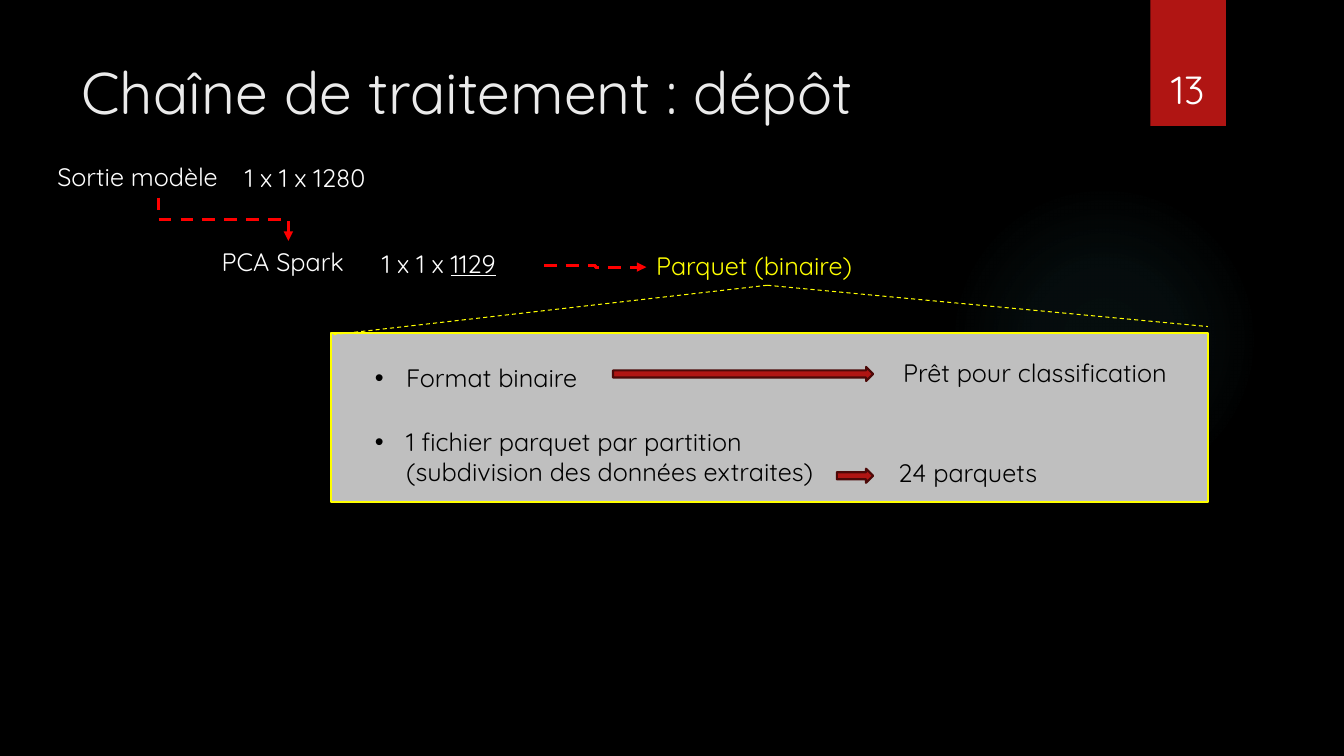
from lxml import etree
from pptx import Presentation
from pptx.dml.color import RGBColor
from pptx.enum.dml import MSO_LINE
from pptx.enum.shapes import MSO_CONNECTOR, MSO_SHAPE
from pptx.enum.text import MSO_ANCHOR, PP_ALIGN
from pptx.oxml import parse_xml
from pptx.oxml.ns import nsdecls, qn
from pptx.util import Inches, Pt

DASH = MSO_LINE.DASH
STRAIGHT, ELBOW = MSO_CONNECTOR.STRAIGHT, MSO_CONNECTOR.ELBOW
OVAL, RECTANGLE, RIGHT_ARROW = MSO_SHAPE.OVAL, MSO_SHAPE.RECTANGLE, MSO_SHAPE.RIGHT_ARROW
TOP, BOTTOM = MSO_ANCHOR.TOP, MSO_ANCHOR.BOTTOM
LEFT, CENTER = PP_ALIGN.LEFT, PP_ALIGN.CENTER

FONT = "Quicksand"
COLORS = {
    "background": "000000",
    "glow": "50B9C1",
    "accent": "B01513",
    "accent_edge": "4D0908",
    "title": "EBEBEB",
    "light": "FFFFFF",
    "dark": "000000",
    "highlight": "FFFF00",
    "flow": "FF0000",
    "panel": "BFBFBF",
}
GLOW_STOPS = [(0, 7), (36, 6), (69, 0)]
LINE_HEIGHT = 0.4
BULLET_INDENT = 0.31


def rgb(name):
    return RGBColor.from_string(COLORS[name])


def add_text(slide, box, text, color="light", size=18, anchor=TOP, align=LEFT, bullet=False, underlined=""):
    shape = slide.shapes.add_textbox(*map(Inches, box))
    frame = shape.text_frame
    frame.word_wrap = True
    frame.vertical_anchor = anchor
    paragraph = frame.paragraphs[0]
    paragraph.text = text
    paragraph.alignment = align
    if underlined:
        paragraph.add_run().text = underlined
        paragraph.runs[-1].font.underline = True
    if bullet:
        properties = paragraph._p.get_or_add_pPr()
        properties.set("marL", str(Inches(BULLET_INDENT)))
        properties.set("indent", str(-Inches(BULLET_INDENT)))
        etree.SubElement(properties, qn("a:buFont")).set("typeface", "Arial")
        etree.SubElement(properties, qn("a:buChar")).set("char", "•")
    for run in paragraph.runs:
        run.font.name = FONT
        run.font.size = Pt(size)
        run.font.color.rgb = rgb(color)


def add_block(slide, kind, box, fill, edge=None):
    shape = slide.shapes.add_shape(kind, *map(Inches, box))
    shape.shadow.inherit = False
    shape.fill.solid()
    shape.fill.fore_color.rgb = rgb(fill)
    if edge:
        shape.line.color.rgb = rgb(edge)
        shape.line.width = Pt(1.5)
    else:
        shape.line.fill.background()
    return shape


def add_dashes(slide, kind, start, end, color, width, arrow=False):
    connector = slide.shapes.add_connector(kind, *map(Inches, (*start, *end)))
    connector.line.color.rgb = rgb(color)
    connector.line.width = Pt(width)
    connector.line.dash_style = DASH
    properties = connector._element.spPr
    if arrow:
        etree.SubElement(properties.find(qn("a:ln")), qn("a:tailEnd")).set("type", "triangle")
    etree.SubElement(properties, qn("a:effectLst"))
    return connector


def add_glow(slide, box):
    shape = add_block(slide, OVAL, box, "glow")
    stops = "".join(
        f'<a:gs pos="{position * 1000}"><a:srgbClr val="{COLORS["glow"]}">'
        f'<a:alpha val="{alpha * 1000}"/></a:srgbClr></a:gs>'
        for position, alpha in GLOW_STOPS
    )
    gradient = parse_xml(
        f'<a:gradFill {nsdecls("a")} rotWithShape="1"><a:gsLst>{stops}</a:gsLst>'
        '<a:path path="circle"><a:fillToRect l="50000" t="50000" r="50000" b="50000"/></a:path>'
        "</a:gradFill>"
    )
    properties = shape._element.spPr
    properties.replace(properties.find(qn("a:solidFill")), gradient)


def add_header(slide, left, top):
    ribbon = add_block(slide, RECTANGLE, (left + 10.7, top, 0.75, 1.25), "accent")
    ribbon._element.spPr.find(qn("a:effectLst")).append(parse_xml(
        f'<a:outerShdw {nsdecls("a")} blurRad="{Pt(3)}" dist="{Pt(2)}" dir="5400000" rotWithShape="0">'
        f'<a:srgbClr val="{COLORS["dark"]}"><a:alpha val="45000"/></a:srgbClr></a:outerShdw>'
    ))
    add_text(slide, (left, top + 0.5, 10.29, 1.53), "Chaîne de traitement : dépôt", "title", 42)
    add_text(slide, (left + 10.61, top + 0.32, 0.92, 0.84), "13", size=28, anchor=BOTTOM, align=CENTER)


def add_pipeline(slide, left, top):
    add_text(slide, (left, top, 2.21, LINE_HEIGHT), "Sortie modèle")
    add_text(slide, (left + 1.86, top + 0.01, 1.71, LINE_HEIGHT), "1 x 1 x 1280")
    add_text(slide, (left + 1.63, top + 0.84, 1.52, LINE_HEIGHT), "PCA Spark")
    add_text(slide, (left + 3.22, top + 0.86, 1.71, LINE_HEIGHT), "1 x 1 x ", underlined="1129")
    add_text(slide, (left + 5.94, top + 0.88, 2.4, LINE_HEIGHT), "Parquet (binaire)", "highlight")

    step = add_dashes(slide, ELBOW, (left + 1.96, top - 0.02), (left + 1.53, top + 1.27), "flow", 2.25, True)
    step._element.spPr.find(qn("a:xfrm")).set("rot", str(270 * 60000))
    add_dashes(slide, ELBOW, (left + 4.93, top + 1.08), (left + 5.94, top + 1.1), "flow", 2.25, True)


def add_details(slide, left, top, width, height):
    add_block(slide, RECTANGLE, (left, top, width, height), "panel", "highlight")
    apex = (left + 4.33, top - 0.47)
    for corner in [(left + 0.03, top + 0.02), (left + width, top - 0.06)]:
        add_dashes(slide, STRAIGHT, apex, corner, "highlight", 0.75)

    rows = [
        ("Format binaire", 0.25, 2.46, LINE_HEIGHT, 2.8, 0.34, "Prêt pour classification", 5.58, 0.2),
        ("1 fichier parquet par partition (subdivision des données extraites)",
         0.88, 5.19, 0.71, 5.02, 1.35, "24 parquets", 5.53, 1.19),
    ]
    arrow_tip = 5.38
    for label, label_y, label_width, label_height, arrow_x, arrow_y, result, result_x, result_y in rows:
        add_text(slide, (left + 0.34, top + label_y, label_width, label_height), label, "dark", bullet=True)
        add_block(slide, RIGHT_ARROW, (left + arrow_x, top + arrow_y, arrow_tip - arrow_x, 0.14),
                  "accent", "accent_edge")
        add_text(slide, (left + result_x, top + result_y, 3.52, LINE_HEIGHT), result, "dark")


def main():
    presentation = Presentation()
    presentation.slide_width = Inches(13.33)
    presentation.slide_height = Inches(7.5)
    slide = presentation.slides.add_slide(presentation.slide_layouts[6])
    slide.background.fill.solid()
    slide.background.fill.fore_color.rgb = rgb("background")
    add_glow(slide, (9.41, 1.83, 3.08, 3.08))
    add_header(slide, 0.71, 0)
    add_pipeline(slide, 0.47, 1.55)
    add_details(slide, 3.28, 3.3, 8.7, 1.68)
    presentation.save("out.pptx")


if __name__ == "__main__":
    main()
